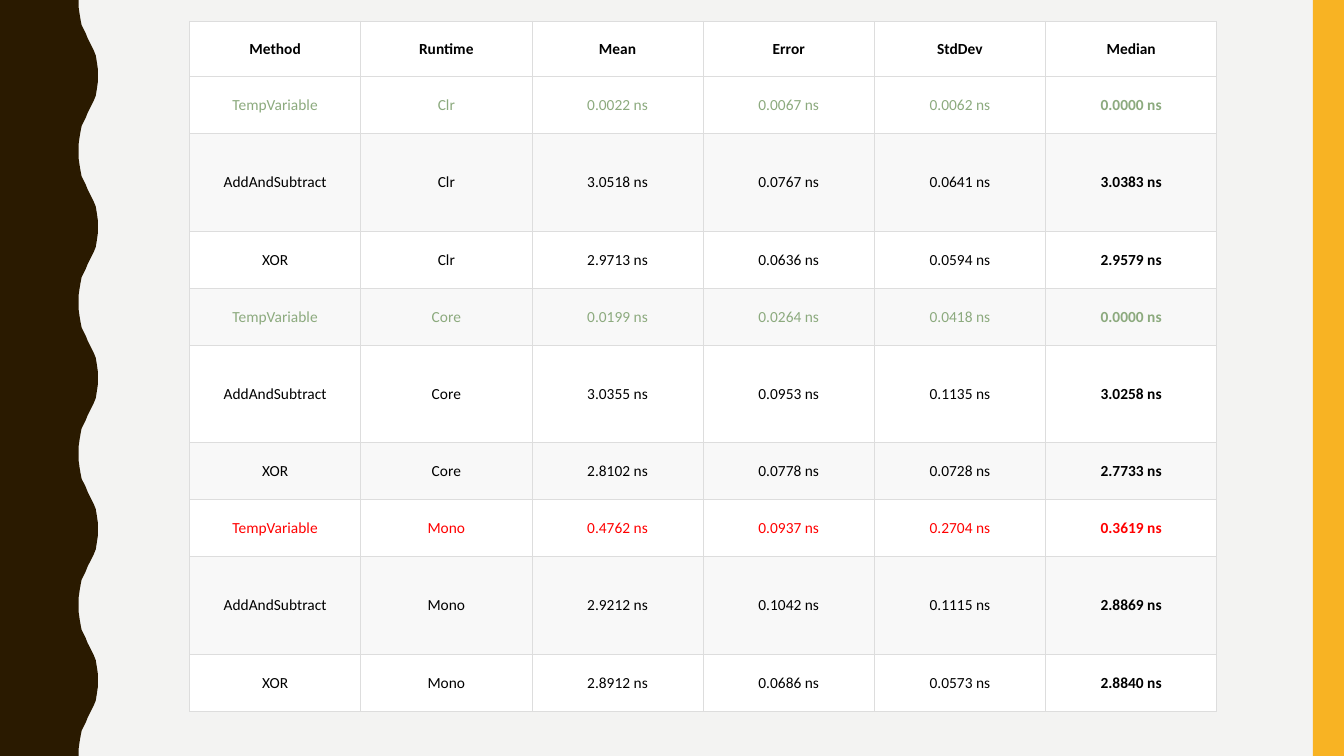
from lxml import etree
from pptx import Presentation
from pptx.dml.color import RGBColor
from pptx.enum.shapes import MSO_SHAPE
from pptx.enum.text import MSO_ANCHOR, PP_ALIGN
from pptx.oxml.ns import qn
from pptx.util import Inches, Pt

RECTANGLE = MSO_SHAPE.RECTANGLE
CENTER = PP_ALIGN.CENTER
MIDDLE = MSO_ANCHOR.MIDDLE

BLACK, GREEN, RED = "000000", "8CAA7E", "FF0000"
WHITE, BAND, BORDER = "FFFFFF", "F8F8F8", "DDDDDD"


def paint(fill, color):
    fill.solid()
    fill.fore_color.rgb = RGBColor.from_string(color)


def add_border(cell, side):
    line = etree.SubElement(cell._tc.get_or_add_tcPr(), qn(f"a:{side}"), w=str(Pt(0.75)))
    solid = etree.SubElement(line, qn("a:solidFill"))
    etree.SubElement(solid, qn("a:srgbClr"), val=BORDER)


presentation = Presentation()
presentation.slide_width = Inches(13.33)
presentation.slide_height = Inches(7.5)
slide = presentation.slides.add_slide(presentation.slide_layouts[6])
paint(slide.background.fill, "F3F3F2")

# Wavy band on the left: five equal waves, each a rise and its mirrored fall
WAVE_COUNT = 5
wave_height = 7.5 / WAVE_COUNT
rise = [(0.78, 0), (0.78, 0.07), (0.79, 0.14), (0.8, 0.2), (0.81, 0.25),
        (0.83, 0.29), (0.85, 0.33), (0.87, 0.38), (0.89, 0.42), (0.91, 0.46),
        (0.93, 0.5), (0.95, 0.55), (0.96, 0.61), (0.97, 0.68), (0.97, 0.75)]
fall = [(x, wave_height - y) for x, y in reversed(rise[:-1])]
edge = [(x, y + wave * wave_height) for wave in range(WAVE_COUNT) for x, y in rise + fall]
outline = [(Inches(x), Inches(y)) for x, y in edge + [(0, 7.5)]]
builder = slide.shapes.build_freeform(0, 0)
builder.add_line_segments(outline, close=True)
wavy_band = builder.convert_to_shape()

# Plain band on the right
band_width = Inches(0.31)
right_band = slide.shapes.add_shape(
    RECTANGLE, presentation.slide_width - band_width, 0, band_width, presentation.slide_height)

for shape, color in ((wavy_band, "2A1A00"), (right_band, "F8B323")):
    paint(shape.fill, color)
    shape.line.fill.background()
    shape.shadow.inherit = False

# Benchmark results: text colour, then the cells of each row
rows = [
    (BLACK, ["Method", "Runtime", "Mean", "Error", "StdDev", "Median"]),
    (GREEN, ["TempVariable", "Clr", "0.0022 ns", "0.0067 ns", "0.0062 ns", "0.0000 ns"]),
    (BLACK, ["AddAndSubtract", "Clr", "3.0518 ns", "0.0767 ns", "0.0641 ns", "3.0383 ns"]),
    (BLACK, ["XOR", "Clr", "2.9713 ns", "0.0636 ns", "0.0594 ns", "2.9579 ns"]),
    (GREEN, ["TempVariable", "Core", "0.0199 ns", "0.0264 ns", "0.0418 ns", "0.0000 ns"]),
    (BLACK, ["AddAndSubtract", "Core", "3.0355 ns", "0.0953 ns", "0.1135 ns", "3.0258 ns"]),
    (BLACK, ["XOR", "Core", "2.8102 ns", "0.0778 ns", "0.0728 ns", "2.7733 ns"]),
    (RED, ["TempVariable", "Mono", "0.4762 ns", "0.0937 ns", "0.2704 ns", "0.3619 ns"]),
    (BLACK, ["AddAndSubtract", "Mono", "2.9212 ns", "0.1042 ns", "0.1115 ns", "2.8869 ns"]),
    (BLACK, ["XOR", "Mono", "2.8912 ns", "0.0686 ns", "0.0573 ns", "2.8840 ns"]),
]
column_count = len(rows[0][1])
table = slide.shapes.add_table(
    len(rows), column_count, Inches(1.88), Inches(0.21), Inches(10.19), Inches(6.87)).table

for row_index, (color, texts) in enumerate(rows):
    is_header = row_index == 0
    if is_header:
        row_height = 0.55
    else:
        row_height = 0.97 if texts[0] == "AddAndSubtract" else 0.565
    table.rows[row_index].height = Inches(row_height)

    for column_index, text in enumerate(texts):
        cell = table.cell(row_index, column_index)
        for side in ("lnL", "lnR", "lnT", "lnB"):
            add_border(cell, side)
        paint(cell.fill, BAND if row_index and row_index % 2 == 0 else WHITE)
        cell.vertical_anchor = MIDDLE
        cell.margin_left = cell.margin_right = Inches(0.08)
        cell.margin_top = cell.margin_bottom = Inches(0.04)
        paragraph = cell.text_frame.paragraphs[0]
        paragraph.alignment = CENTER
        run = paragraph.add_run()
        run.text = text
        run.font.name = "Calibri"
        run.font.size = Pt(11)
        run.font.bold = is_header or column_index == column_count - 1
        run.font.color.rgb = RGBColor.from_string(color)

presentation.save("out.pptx")
